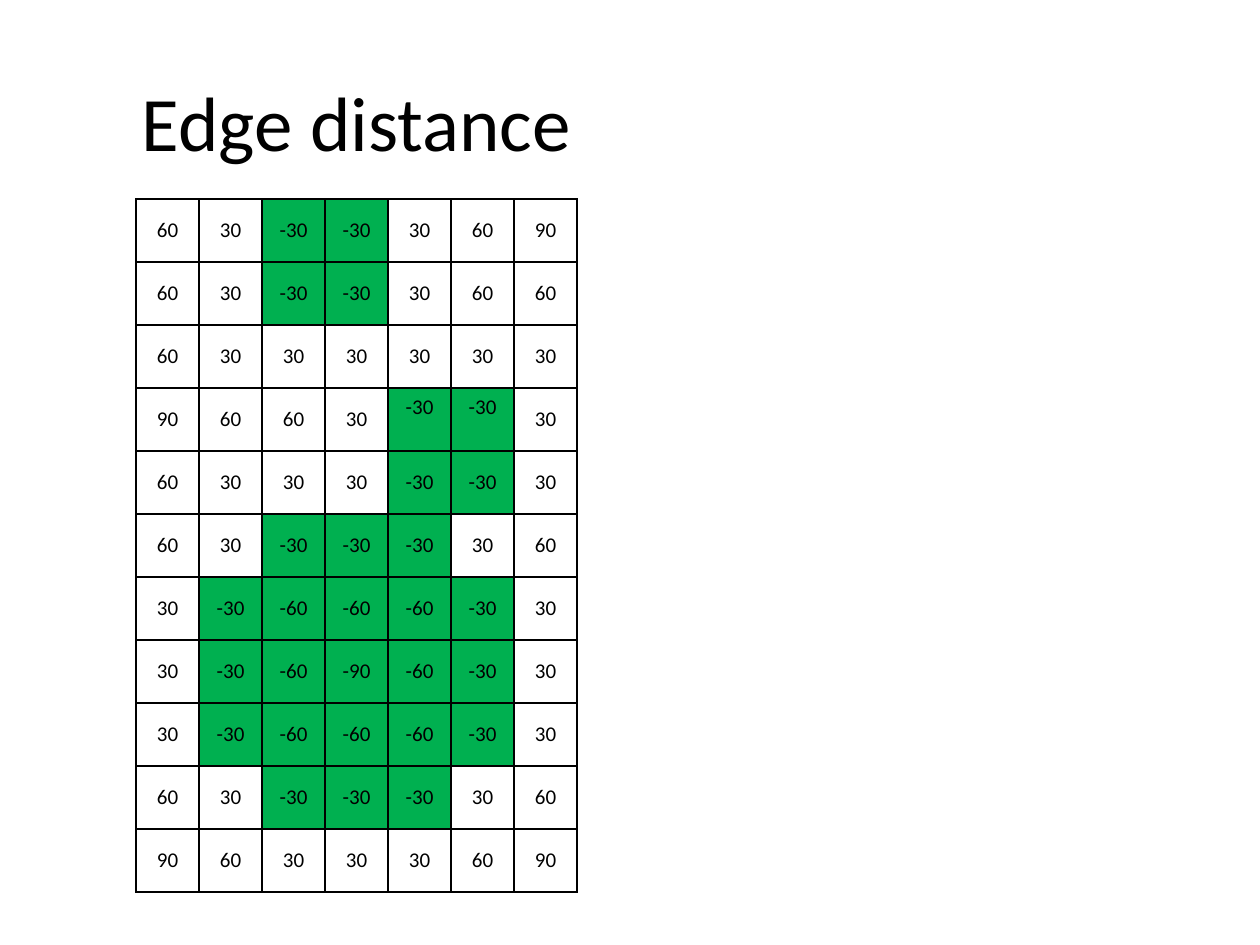
import dataclasses

import lxml.etree
import pptx
import pptx.dml.color
import pptx.enum.text
import pptx.oxml.ns
import pptx.util

COLORS = {"ink": "000000", "inside": "00B050"}
FONT = "Calibri"
STEP = 0.5  # side of a grid square, in inches
LEFT, TOP = 1.08, 1.58
ANCHOR = pptx.enum.text.MSO_ANCHOR

# Distance to the edge, negative inside a patch
ROWS = [
    [60, 30, -30, -30, 30, 60, 90],
    [60, 30, -30, -30, 30, 60, 60],
    [60, 30, 30, 30, 30, 30, 30],
    [90, 60, 60, 30, -30, -30, 30],
    [60, 30, 30, 30, -30, -30, 30],
    [60, 30, -30, -30, -30, 30, 60],
    [30, -30, -60, -60, -60, -30, 30],
    [30, -30, -60, -90, -60, -30, 30],
    [30, -30, -60, -60, -60, -30, 30],
    [60, 30, -30, -30, -30, 30, 60],
    [90, 60, 30, 30, 30, 60, 90],
]
RAISED = {(3, 4), (3, 5)}  # squares with the value at the top


@dataclasses.dataclass
class Square:
    value: int
    raised: bool = False


def rgb(name: str) -> pptx.dml.color.RGBColor:
    return pptx.dml.color.RGBColor.from_string(COLORS[name])


def write(frame, text: str, *, size: float, color: str = "ink") -> None:
    """Put one centred line of text into a text frame."""
    line = frame.paragraphs[0]
    line.alignment = pptx.enum.text.PP_ALIGN.CENTER
    run = line.add_run()
    run.text = text
    run.font.name = FONT
    run.font.size = pptx.util.Pt(size)
    run.font.color.rgb = rgb(color)


def border(cell, width: float = 1) -> None:
    """Draw a solid line on all four sides of a cell."""
    props = cell._tc.get_or_add_tcPr()
    qn = pptx.oxml.ns.qn
    for side in ("a:lnL", "a:lnR", "a:lnT", "a:lnB"):
        line = lxml.etree.SubElement(props, qn(side), w=str(pptx.util.Pt(width)))
        fill = lxml.etree.SubElement(line, qn("a:solidFill"))
        lxml.etree.SubElement(fill, qn("a:srgbClr"), val=COLORS["ink"])


def draw(cell, square: Square) -> None:
    cell.vertical_anchor = ANCHOR.TOP if square.raised else ANCHOR.MIDDLE
    border(cell)
    if square.value < 0:
        cell.fill.solid()
        cell.fill.fore_color.rgb = rgb("inside")
    else:
        cell.fill.background()
    write(cell.text_frame, str(square.value), size=12)


inch = pptx.util.Inches
deck = pptx.Presentation()
deck.slide_width, deck.slide_height = inch(10), inch(7.5)
slide = deck.slides.add_slide(deck.slide_layouts[6])

# Title, centred over the grid
wide = 9
mid = LEFT + len(ROWS[0]) * STEP / 2
title = slide.shapes.add_textbox(inch(mid - wide / 2), inch(0.33), inch(wide), inch(1.25))
title.text_frame.word_wrap = True
title.text_frame.vertical_anchor = ANCHOR.MIDDLE
write(title.text_frame, "Edge distance", size=44)

# Grid of distances
high, across = len(ROWS), len(ROWS[0])
grid = slide.shapes.add_table(
    high, across, inch(LEFT), inch(TOP), inch(across * STEP), inch(high * STEP)
).table
grid.first_row = grid.horz_banding = False
for row, values in enumerate(ROWS):
    for col, value in enumerate(values):
        draw(grid.cell(row, col), Square(value, (row, col) in RAISED))

deck.save("out.pptx")
